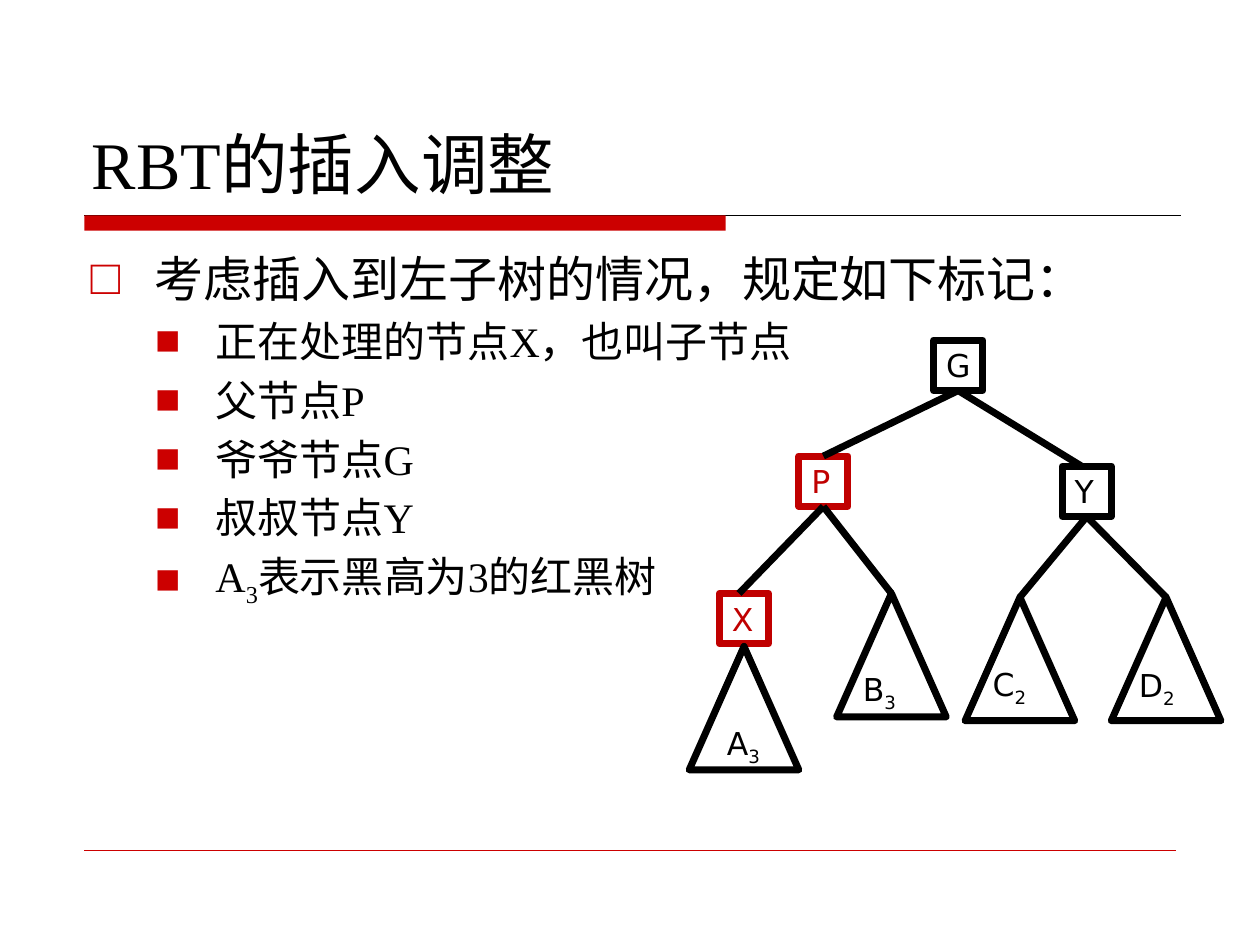
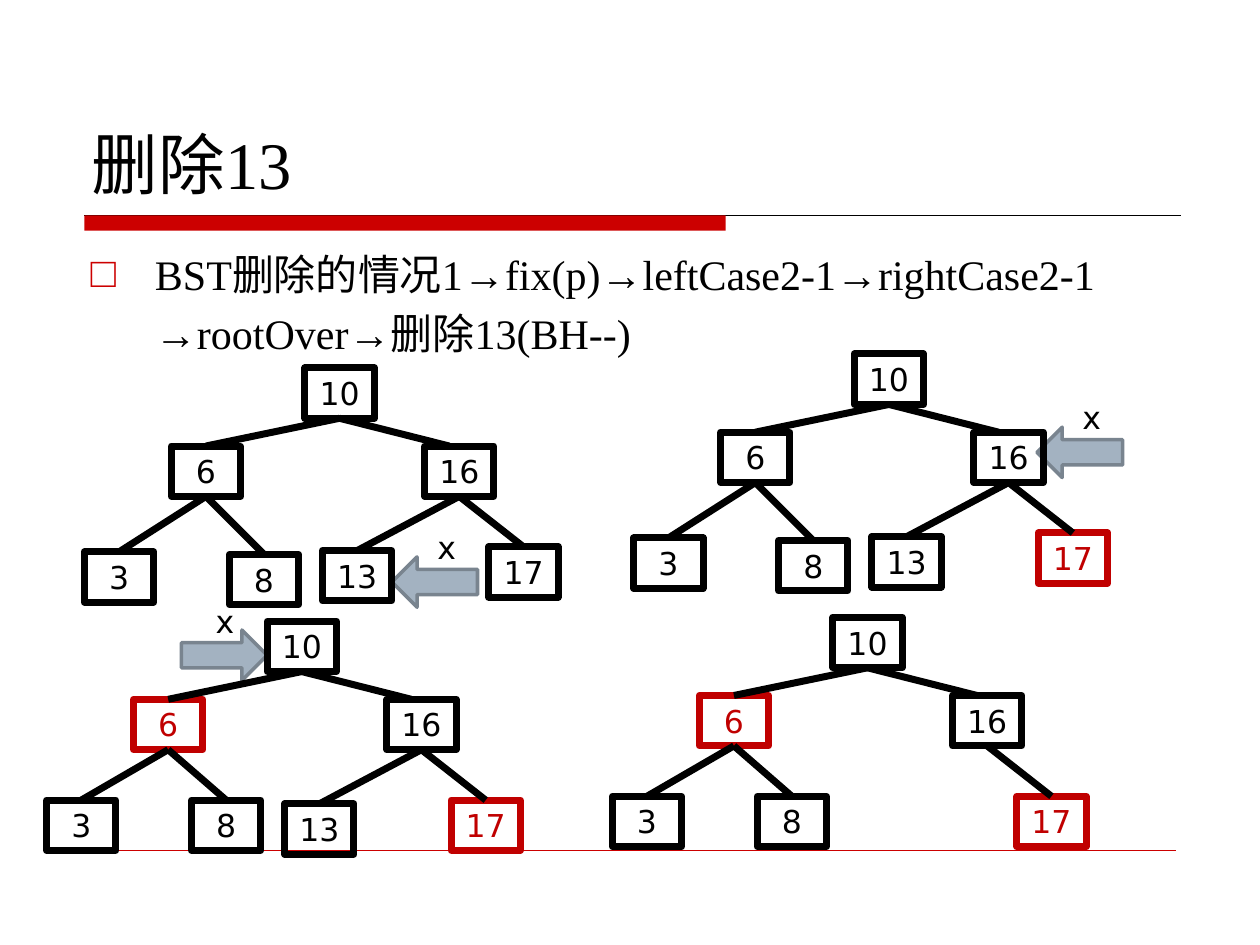
from pptx import Presentation
from pptx.util import Pt
from pptx.dml.color import RGBColor
from pptx.enum.shapes import MSO_CONNECTOR, MSO_SHAPE
from pptx.enum.text import MSO_ANCHOR, MSO_AUTO_SIZE, PP_ALIGN
from pptx.oxml.ns import qn
from lxml.etree import SubElement

PX = 9144  # 100 px to the inch
BLACK = RGBColor(0x00, 0x00, 0x00)
RED = RGBColor(0xC0, 0x00, 0x00)
BAND = RGBColor(0xCC, 0x00, 0x00)
STEEL = RGBColor(0xA3, 0xB2, 0xC1)
EDGE = RGBColor(0x79, 0x84, 0x8F)
SERIF, SANS = "Times New Roman", "DejaVu Sans"
RECT = MSO_SHAPE.RECTANGLE
LEFT, MID = PP_ALIGN.LEFT, PP_ALIGN.CENTER


def put(slide, kind, text, x, y, w, h, ink=BLACK, align=LEFT):
    """Add an outlined shape, or a text box when kind is None."""
    area = [n * PX for n in (x, y, w, h)]
    if kind is None:
        shape = slide.shapes.add_textbox(*area)
        parts = [text[:1], text[1:]]  # letter and subscript
    else:
        shape = slide.shapes.add_shape(kind, *area)
        shape.shadow.inherit = False
        shape.fill.background()
        shape.line.color.rgb = ink
        shape.line.width = Pt(4)
        parts = [text]
    frame = shape.text_frame
    frame.word_wrap = True
    frame.vertical_anchor = MSO_ANCHOR.TOP
    para = frame.paragraphs[0]
    para.alignment = align
    for i, part in enumerate(parts):
        if part:
            run = para.add_run()
            run.text = part
            run.font.size, run.font.name = Pt(18), SANS
            run.font.color.rgb = ink
            if i:
                run.font._element.set("baseline", "-25000")
    return shape


def link(slide, start, end, ink=BLACK, width=4, shift=0):
    """Draw a line between points, or from a parent's foot to a child's top."""
    free = isinstance(start, tuple)
    if free:
        ends = [n * PX for n in start + end]
    else:
        ends = [start.left + start.width // 2, start.top + start.height,
                end.left + end.width // 2 + shift * PX, end.top]
    line = slide.shapes.add_connector(MSO_CONNECTOR.STRAIGHT, *ends)
    line.line.color.rgb = ink
    line.line.width = Pt(width)
    SubElement(line._element.spPr, qn("a:effectLst"))
    if not free:
        line.begin_connect(start, 2)
        if not shift:
            line.end_connect(end, 0)
    return line


deck = Presentation()
deck.slide_width, deck.slide_height = 1000 * PX, 750 * PX

# Shared layout: title and body places
base = deck.slide_layouts[1]
for spot, area in zip(base.placeholders, [(63, 33, 875, 133), (62, 192, 875, 467)]):
    spot.left, spot.top, spot.width, spot.height = [n * PX for n in area]

# Titles and lists: level, bullet, margin, hang, size, text parts
SUB = (1, "■", 99, 48, 24)
PAGES = [
    ("RBT的插入调整", [
        (0, "□", 51, 51, 28, ["考虑插入到左子树的情况，规定如下标记："]),
        (*SUB, ["正在处理的节点X，也叫子节点"]),
        (*SUB, ["父节点P"]),
        (*SUB, ["爷爷节点G"]),
        (*SUB, ["叔叔节点Y"]),
        (*SUB, ["A", "3", "表示黑高为3的红黑树"])]),
    ("删除13", [
        (1, "□", 51, 51, 24, ["BST删除的情况1→fix(p)→leftCase2-1→rightCase2-1"]),
        (1, None, 51, 0, 24, ["→rootOver→删除13(BH--)"])]),
]
for head, rows in PAGES:
    slide = deck.slides.add_slide(base)
    title, body = slide.placeholders
    title.text_frame.text = head
    title.text_frame.vertical_anchor = MSO_ANCHOR.BOTTOM
    title.text_frame.auto_size = MSO_AUTO_SIZE.NONE
    para = title.text_frame.paragraphs[0]
    para.alignment = LEFT
    font = para.runs[0].font
    font.size, font.name, font.color.rgb = Pt(38), SERIF, BLACK

    frame = body.text_frame
    frame.auto_size = MSO_AUTO_SIZE.NONE
    for i, (level, mark, margin, hang, size, parts) in enumerate(rows):
        para = frame.add_paragraph() if i else frame.paragraphs[0]
        para.level = level
        para.space_before = Pt(size / 5 if i else 0)
        props = para._p.get_or_add_pPr()
        props.set("marL", str(margin * PX))
        props.set("indent", str(-hang * PX))
        if mark:
            tint = SubElement(props, qn("a:buClr"))
            SubElement(tint, qn("a:srgbClr")).set("val", str(BAND))
            SubElement(props, qn("a:buFont")).set("typeface", SERIF)
            SubElement(props, qn("a:buChar")).set("char", mark)
        else:
            SubElement(props, qn("a:buNone"))
        for j, part in enumerate(parts):
            run = para.add_run()
            run.text = part
            font = run.font
            font.size, font.name, font.color.rgb = Pt(size), SERIF, BLACK
            if j == 1:
                font._element.set("baseline", "-25000")

# Red band and rules, moved to the layout
first, second = deck.slides
band = put(first, RECT, "", 67, 171, 509, 12)
band.fill.solid()
band.fill.fore_color.rgb = BAND
band.line.fill.background()
rule = link(first, (67, 171), (937, 171), BLACK, 0.75)
foot = link(first, (67, 675), (933, 675), BAND, 0.25)
tree = base.placeholders[0].element.getparent()
for i, part in enumerate((rule, band, foot)):
    tree.insert(2 + i, part._element)

# Insertion: marked nodes and subtrees
spots = {}
for name, x, y, ink in [("G", 741, 270, BLACK), ("P", 634, 362, RED),
                        ("X", 571, 471, RED), ("Y", 843, 370, BLACK)]:
    spots[name] = put(first, RECT, name, x, y, 39, 40, ink)
for name, x, y, left, top in [("B3", 664, 471, 675, 527), ("A3", 547, 513, 567, 570),
                              ("C2", 766, 474, 778, 523), ("D2", 882, 474, 894, 524)]:
    spots[name] = put(first, MSO_SHAPE.ISOSCELES_TRIANGLE, "", x, y, 87, 98)
    put(first, None, name, left, top, 63, 40)
for top, low, shift in [("G", "P", 0), ("P", "X", -4), ("G", "Y", -4),
                        ("P", "B3", 0), ("Y", "C2", 0), ("Y", "D2", 0)]:
    link(first, spots[top], spots[low], shift=shift)

# Deletion: root place, leaf drops, red nodes, pointer, pointer label, turn
STEPS = [
    (242, 292, (146, 148), "", (311, 442), (316, 414), 0),
    (678, 281, (146, 148), "17", (823, 339), (828, 311), 0),
    (212, 493, (142, 142), "6 17", (144, 500), (140, 473), 180),
    (661, 490, (142, 142), "6 17", None, None, 0),
]
LINKS = [("10", "6"), ("6", "3"), ("6", "8"), ("10", "16"), ("16", "13"), ("16", "17")]
for x, y, drops, reds, tip, label, turn in STEPS:
    places = {"10": (0, 0), "6": (-106, 62), "3": (-175, drops[0]), "8": (-60, drops[1]),
              "16": (95, 62), "13": (14, 145), "17": (146, 142)}
    if tip:
        arrow = put(second, MSO_SHAPE.LEFT_ARROW, "", *tip, 68, 40, EDGE)
        arrow.line.width = Pt(2)
        arrow.fill.solid()
        arrow.fill.fore_color.rgb = STEEL
        arrow.rotation = turn
        put(second, None, "x", *label, 77, 40, align=MID)
    else:
        del places["13"]  # removed in the last step
    spots = {}
    for name, (dx, dy) in places.items():
        ink = RED if name in reds.split() else BLACK
        spots[name] = put(second, RECT, name, x + dx, y + dy, 55, 40, ink, MID)
    for top, low in LINKS:
        if low in spots:
            link(second, spots[top], spots[low], shift=-8 if low == "16" else 0)

deck.save("out.pptx")
